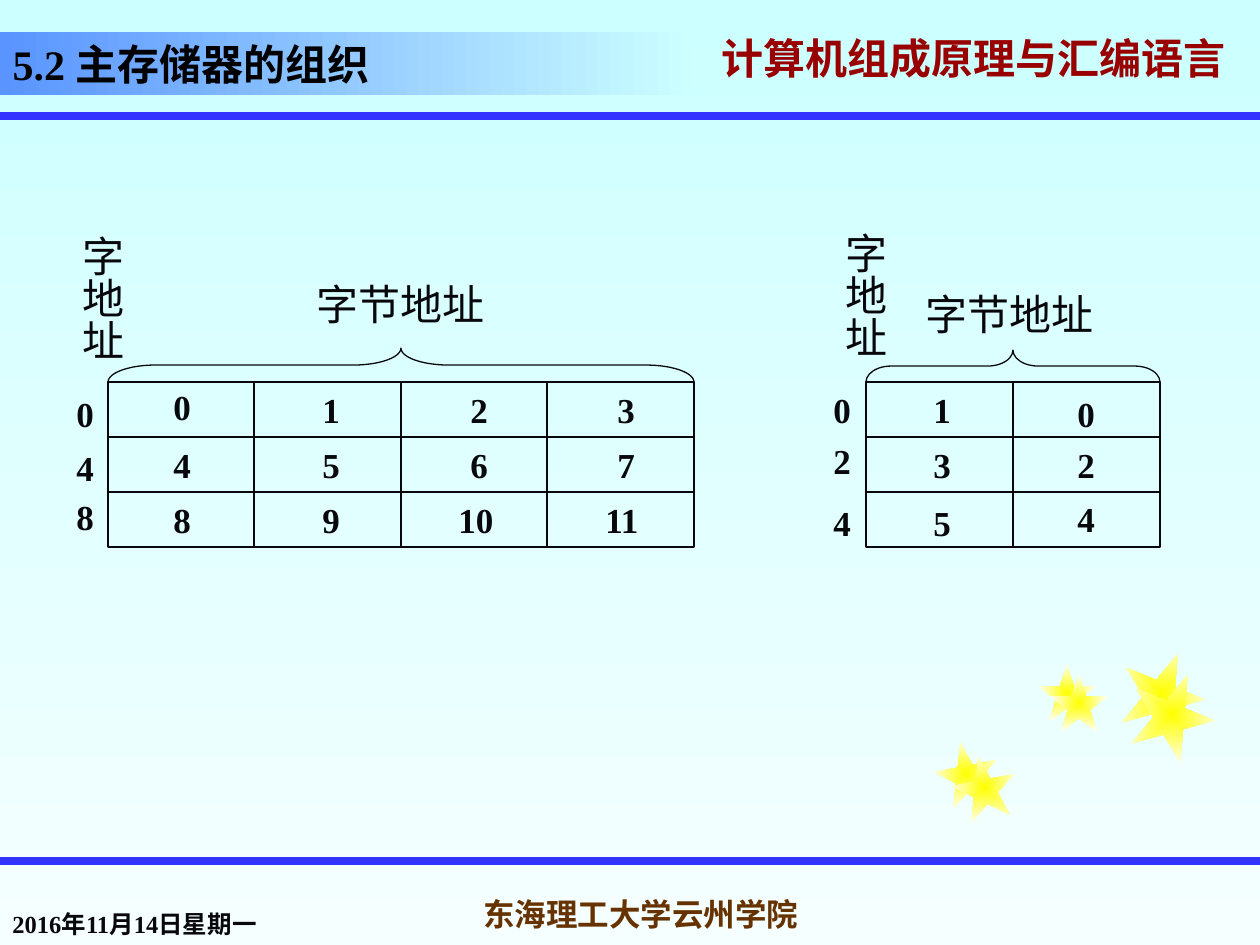
"""Builds the slide on main memory organisation with word and byte address grids."""
from lxml import etree
from pptx import Presentation
from pptx import util as u
from pptx.dml.color import RGBColor
from pptx.enum import shapes, text
from pptx.oxml import ns

INK = RGBColor(0x08, 0x08, 0x0C)
BLACK = RGBColor(0x00, 0x00, 0x00)
RULE_BLUE = RGBColor(0x33, 0x33, 0xFF)
BANNER_BLUE = RGBColor(0x59, 0x94, 0xFF)
SKY = RGBColor(0xCC, 0xFF, 0xFF)
PALE_SKY = RGBColor(0xF5, 0xFF, 0xFF)
RED = RGBColor(0x99, 0x00, 0x00)
BROWN = RGBColor(0x66, 0x33, 0x00)
YELLOW = RGBColor(0xFF, 0xFF, 0x00)
CREAM = RGBColor(0xFF, 0xFF, 0xF5)
LATIN, HAN = "Times New Roman", "Noto Sans CJK SC"
GRID_TOP, ROW_HEIGHT, ROWS = 382, 55, 3


def px(length):
    """Turn a length in px into EMU."""
    return u.Emu(round(length * 914400 / 126))


class Deck:
    """Holds the style and the current slide."""

    def __init__(self, width, height):
        self.show = Presentation()
        self.show.slide_width, self.show.slide_height = px(width), px(height)
        self.slide = self.show.slides.add_slide(self.show.slide_layouts[5])
        self.shapes = self.slide.shapes

    def gradient(self, fill, start, end, angle=0):
        fill.gradient()
        fill.gradient_angle = angle
        for stop, colour, position in zip(fill.gradient_stops, (start, end), (0, 1)):
            stop.color.rgb = colour
            stop.position = position

    def typeset(self, frame, runs, size, colour=INK, bold=True, align=text.PP_ALIGN.LEFT,
                anchor=text.MSO_ANCHOR.TOP, wrap=True, spacing=1.0):
        layout = {"word_wrap": wrap, "vertical_anchor": anchor,
                  "auto_size": text.MSO_AUTO_SIZE.NONE}
        for name, value in layout.items():
            setattr(frame, name, value)
        paragraph = frame.paragraphs[0]
        for name, value in {"alignment": align, "line_spacing": spacing}.items():
            setattr(paragraph, name, value)
        for words, typeface in runs:
            run = paragraph.add_run()
            run.text = words
            for name, value in {"size": u.Pt(size), "bold": bold, "name": typeface}.items():
                setattr(run.font, name, value)
            run.font.color.rgb = colour
            east = etree.SubElement(run.font._element, ns.qn("a:ea"))
            east.set("typeface", HAN)

    def title(self, box, runs):
        heading = self.shapes.title
        for name, value in zip(("left", "top", "width", "height"), box):
            setattr(heading, name, px(value))
        self.gradient(heading.fill, BANNER_BLUE, SKY)
        self.typeset(heading.text_frame, runs, 24, BLACK, anchor=text.MSO_ANCHOR.BOTTOM)

    def label(self, box, words, size, typeface=LATIN, vertical=False, **style):
        frame = self.shapes.add_textbox(*map(px, box)).text_frame
        self.typeset(frame, [(words, typeface)], size, **style)
        if vertical:
            frame._txBody.bodyPr.set("vert", "eaVert")
        return frame

    def shadow_text(self, frame):
        properties = frame.paragraphs[0].runs[0].font._element
        effects = etree.Element(ns.qn("a:effectLst"))
        shadow = etree.SubElement(effects, ns.qn("a:outerShdw"), dist="35921", dir="2700000")
        etree.SubElement(shadow, ns.qn("a:srgbClr"), val="808080")
        properties.find(ns.qn("a:solidFill")).addnext(effects)

    def line(self, x1, y1, x2, y2, colour=INK, weight=0.75):
        rule = self.shapes.add_connector(
            shapes.MSO_CONNECTOR.STRAIGHT, *map(px, (x1, y1, x2, y2)))
        rule.line.color.rgb = colour
        rule.line.width = u.Pt(weight)
        etree.SubElement(rule._element.spPr, ns.qn("a:effectLst"))

    def outline(self, kind, box, rotation=0):
        figure = self.shapes.add_shape(kind, *map(px, box))
        figure.shadow.inherit = False
        figure.rotation = rotation
        figure.fill.background()
        figure.line.color.rgb = INK
        figure.line.width = u.Pt(0.75)
        return figure

    def star(self, left, top, size, rotation):
        star = self.outline(shapes.MSO_SHAPE.STAR_5_POINT, (left, top, size, size), rotation)
        star.line.fill.background()
        self.gradient(star.fill, YELLOW, CREAM)
        linear = star._element.spPr.find(".//" + ns.qn("a:lin"))
        centre = etree.Element(ns.qn("a:path"))
        centre.set("path", "shape")
        etree.SubElement(centre, ns.qn("a:fillToRect"), l="50000", t="50000", r="50000", b="50000")
        linear.getparent().replace(linear, centre)

    def grid(self, left, width, columns):
        height = ROW_HEIGHT * ROWS
        self.outline(shapes.MSO_SHAPE.RECTANGLE, (left, GRID_TOP, width, height))
        for row in range(1, ROWS):
            y = GRID_TOP + row * ROW_HEIGHT
            self.line(left, y, left + width, y)
        for column in range(1, columns):
            x = left + width * column // columns
            self.line(x, GRID_TOP, x, GRID_TOP + height)

    def brace(self, left, width, depth, curve):
        centre_x, centre_y = left + width / 2, GRID_TOP - depth / 2
        brace = self.outline(shapes.MSO_SHAPE.RIGHT_BRACE,
                             (centre_x - depth / 2, centre_y - width / 2, depth, width), 270)
        brace.adjustments[0], brace.adjustments[1] = curve, 0.5

    def addresses(self, left, tops, numbers):
        for top, number in zip(tops, numbers):
            shift = 12 * (len(number) - 1)
            self.label((left - shift, top, 195, 54), number, 20)


def main():
    deck = Deck(1260, 945)
    deck.gradient(deck.slide.background.fill, SKY, PALE_SKY, 270)

    course = deck.label((709, 32, 551, 63), "计算机组成原理与汇编语言", 24, HAN, colour=RED,
                        anchor=text.MSO_ANCHOR.MIDDLE, spacing=0.7)
    deck.shadow_text(course)
    for y in (116, 861):
        deck.line(0, y, 1260, y, RULE_BLUE, 4.5)
    for left, top, size, rotation in (
            (935, 742, 63, 349), (1038, 664, 58, 0), (1120, 651, 84, 22),
            (953, 756, 63, 349), (1050, 674, 58, 0), (1130, 672, 84, 22)):
        deck.star(left, top, size, rotation)
    deck.label((0, 882, 282, 63), "2016年11月14日星期一", 14, anchor=text.MSO_ANCHOR.BOTTOM)
    deck.label((441, 882, 399, 63), "东海理工大学云州学院", 18, colour=BROWN, wrap=False,
               align=text.PP_ALIGN.CENTER, anchor=text.MSO_ANCHOR.MIDDLE)
    deck.title((0, 32, 693, 63), [("5.2 ", LATIN), ("主存储器的组织", HAN)])

    for left, width, columns, depth, curve in ((108, 586, 4, 34, 1.41), (866, 294, 2, 32, 0.79)):
        deck.grid(left, width, columns)
        deck.brace(left, width, depth, curve)

    even = [GRID_TOP + row * ROW_HEIGHT for row in range(ROWS)]
    for left, tops, numbers in (
            (64, (386, 440, 489), ("0", "4", "8")),
            (161, (379, 437, 492), ("0", "4", "8")),
            (310, even, ("1", "5", "9")),
            (458, even, ("2", "6", "10")),
            (605, even, ("3", "7", "11")),
            (821, (382, 433, 495), ("0", "2", "4")),
            (921, (382, 437, 495), ("1", "3", "5")),
            (1065, (386, 437, 491), ("0", "2", "4"))):
        deck.addresses(left, tops, numbers)

    for left, top in ((57, 223), (820, 220)):
        deck.label((left, top, 76, 303), "字地址", 24, bold=False, vertical=True)
    for left, top in ((304, 272), (913, 282)):
        deck.label((left, top, 244, 63), "字节地址", 24, bold=False)

    deck.show.save("out.pptx")


if __name__ == "__main__":
    main()
